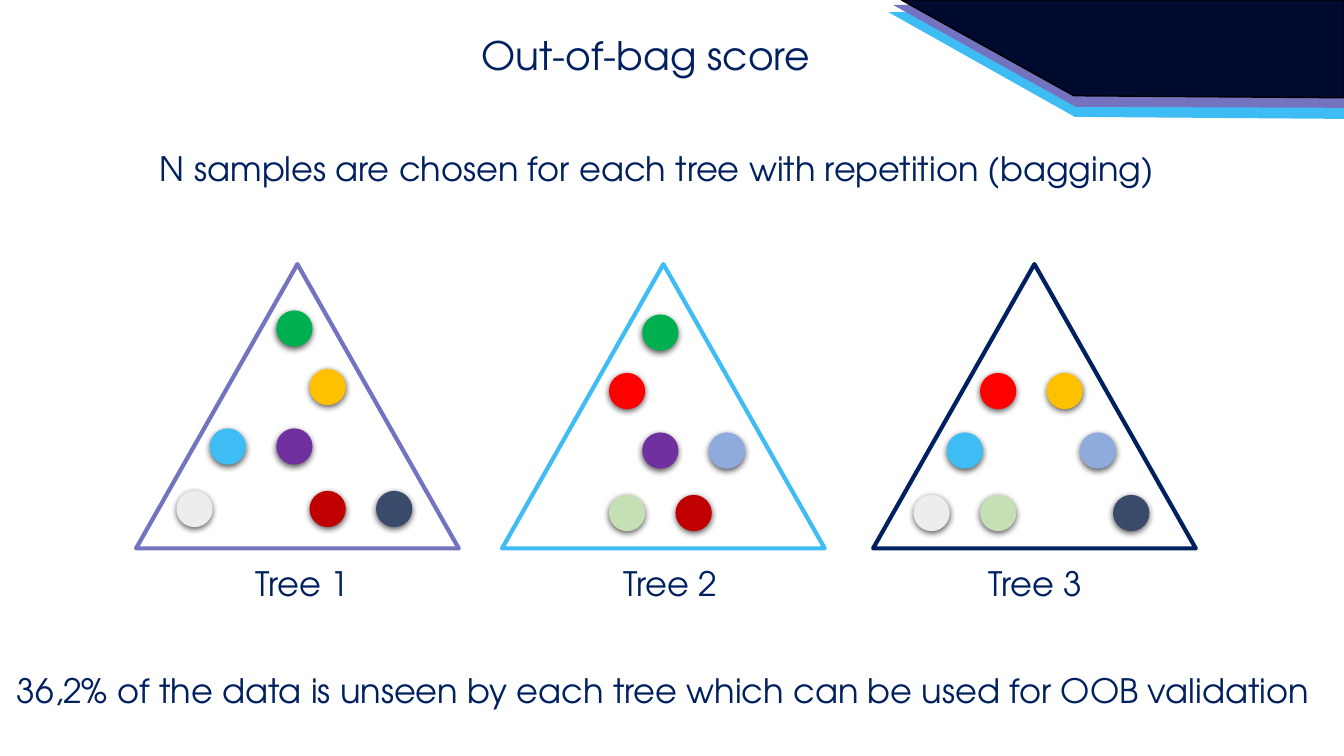
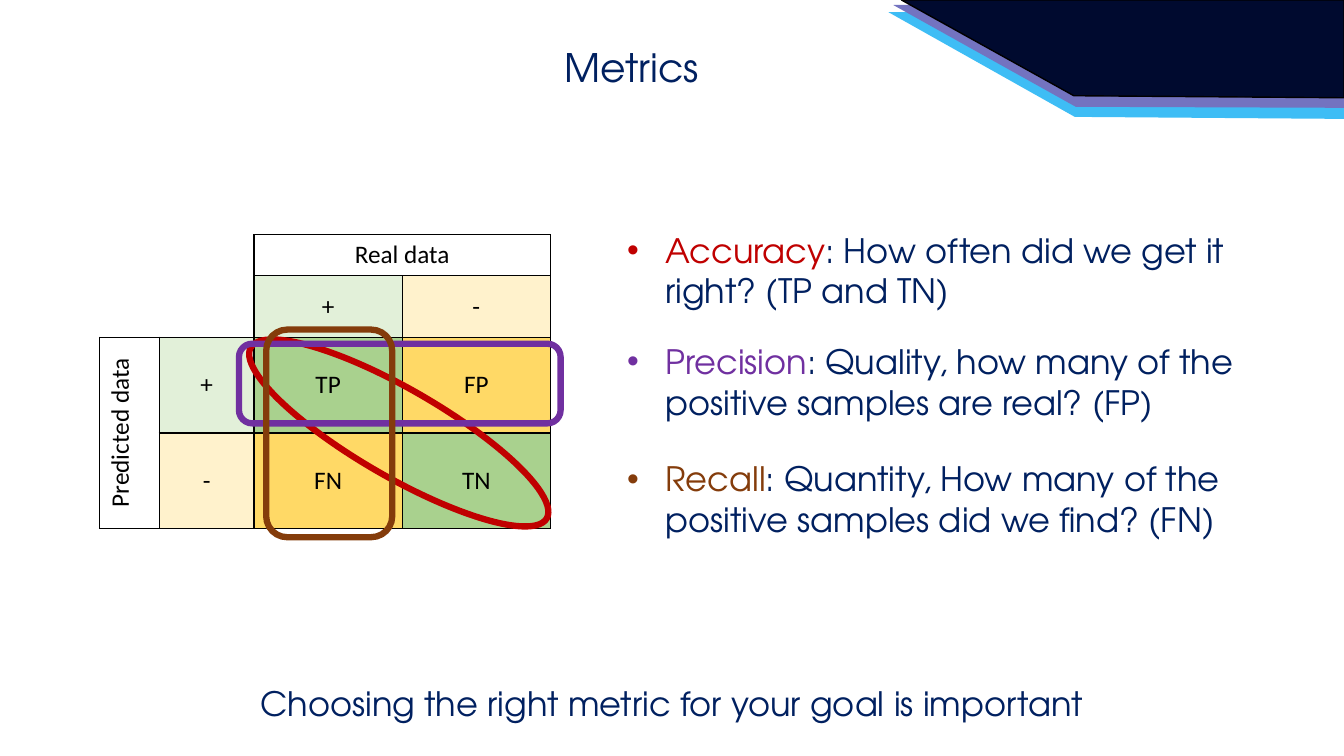
from lxml.etree import SubElement
from pptx import Presentation
from pptx.dml.color import RGBColor
from pptx.enum.shapes import MSO_SHAPE as Shape
from pptx.enum.text import MSO_ANCHOR as Anchor, MSO_AUTO_SIZE as AutoSize, PP_ALIGN as Align
from pptx.oxml.ns import qn
from pptx.util import Emu, Inches, Pt

# Shared look
W, H = 13.33, 7.5
FONT = "TeX Gyre Adventor"
NAVY, SKY, VIOLET, DARK = "002060", "3EBDF5", "7373C0", "000A2F"
RED, PURPLE, BROWN = "C00000", "7030A0", "843C0B"
NO_GRID_STYLE = "{2D5ABB26-0587-4C30-8999-92F81FD0307C}"

# Corner bands, back to front: fill, outline, corner points
BANDS = [
    (SKY, None, [(W, 1.18), (W, 0.12), (8.81, 0.12), (10.66, 1.16)]),
    (VIOLET, None, [(W, 1.07), (W, 0.04), (8.86, 0.05), (10.67, 1.06)]),
    (DARK, "000000", [(W, 0.97), (W, 0), (8.94, 0), (10.65, 0.95)]),
]

# Every sample keeps its place in all trees: colour -> (column, row)
SAMPLES = {
    "00B050": (0, 0),
    "FF0000": (-1, 1), "FFC000": (1, 1),
    SKY: (-2, 2), PURPLE: (0, 2), "8FAADC": (2, 2),
    "EDEDED": (-3, 3), "C5E0B4": (-1, 3), RED: (1, 3), "3A4A6A": (3, 3),
}
COL_STEP, ROW_TOPS, DOT = 0.33, (0, 0.58, 1.17, 1.79), 0.36

# Trees: outline, apex x, first row y, label centre x, samples left out
TREES = [
    (VIOLET, 2.95, 3.08, 3.0, {"FF0000", "8FAADC", "C5E0B4"}),
    (SKY, 6.58, 3.12, 6.65, {"FFC000", SKY, "EDEDED", "3A4A6A"}),
    (NAVY, 10.26, 3.12, 10.27, {"00B050", PURPLE, RED}),
]

# Confusion matrix: text, fill, (rows, columns) spanned; None is left empty
WHITE, PALE_GREEN, PALE_GOLD, GREEN, GOLD = None, "E2F0D9", "FFF2CC", "A9D18E", "FFD966"
MATRIX = [
    [None, None, ("Real data", WHITE, (1, 2)), ("", WHITE)],
    [None, None, ("+", PALE_GREEN), ("-", PALE_GOLD)],
    [("Predicted data", WHITE, (2, 1)), ("+", PALE_GREEN), ("TP", GREEN), ("FP", GOLD)],
    [("", WHITE), ("-", PALE_GOLD), ("FN", GOLD), ("TN", GREEN)],
]
COL_WIDTHS, ROW_HEIGHTS = (0.59, 0.94, 1.47, 1.47), (0.4, 0.61, 0.95, 0.95)

# Metrics: name, colour, explanation, space before in points
METRICS = [
    ("Accuracy", RED, ": How often did we get it right? (TP and TN)", 0),
    ("Precision", PURPLE, ": Quality, how many of the positive samples are real? (FP)", 22),
    ("Recall", BROWN, ": Quantity, How many of the positive samples did we find? (FN)", 26),
]


def rgb(value):
    return RGBColor.from_string(value)


def place(sp, x, y, w, h):
    sp.left, sp.top, sp.width, sp.height = (Inches(v) for v in (x, y, w, h))


def write(p, text, size=24, color=NAVY, font=FONT, align=None):
    """Add one formatted run to a paragraph."""
    if align is not None:
        p.alignment = align
    r = p.add_run()
    r.text = text
    r.font.size, r.font.name = Pt(size), font
    r.font.color.rgb = rgb(color)


def paint(sp, fill=None, line=None, width=1):
    sp.shadow.inherit = False
    if fill:
        sp.fill.solid()
        sp.fill.fore_color.rgb = rgb(fill)
    else:
        sp.fill.background()
    if line:
        sp.line.color.rgb = rgb(line)
        sp.line.width = Pt(width)
    else:
        sp.line.fill.background()


def add_shape(s, kind, x, y, w, h, rotation=0, **look):
    sp = s.shapes.add_shape(kind, *(Inches(v) for v in (x, y, w, h)))
    sp.rotation = rotation
    paint(sp, **look)
    return sp


def add_text(s, text, x, y, w, h=0.5, **fmt):
    tf = s.shapes.add_textbox(*(Inches(v) for v in (x, y, w, h))).text_frame
    tf.word_wrap = True
    write(tf.paragraphs[0], text, align=Align.CENTER, **fmt)


def add_slide(prs, layout, title, x, y):
    """Add a slide with the corner bands and a centred title."""
    s = prs.slides.add_slide(prs.slide_layouts[layout])
    for fill, line, points in BANDS:
        (x0, y0), *rest = [(Inches(px), Inches(py)) for px, py in points]
        builder = s.shapes.build_freeform(x0, y0)
        builder.add_line_segments(rest, close=True)
        paint(builder.convert_to_shape(), fill, line)
    place(s.shapes.title, x, y, 10.55, 0.57)
    tf = s.shapes.title.text_frame
    tf.auto_size, tf.vertical_anchor = AutoSize.NONE, Anchor.TOP
    write(tf.paragraphs[0], title, size=28, align=Align.CENTER)
    return s


def add_dot(s, color, x, y):
    """Draw one sample with a soft shadow below it."""
    sp = add_shape(s, Shape.OVAL, x, y, DOT, DOT, fill=color)
    effects = sp._element.spPr.find(qn("a:effectLst"))
    shadow = SubElement(effects, qn("a:outerShdw"), blurRad=str(Pt(4.5)), dist=str(Pt(1.5)),
                        dir="5400000", algn="ctr", rotWithShape="0")
    black = SubElement(shadow, qn("a:srgbClr"), val="000000")
    SubElement(black, qn("a:alpha"), val="63000")


def add_tree(s, number, color, apex, top, label_x, left_out):
    add_shape(s, Shape.ISOSCELES_TRIANGLE, apex - 1.6, 2.62, 3.2, 2.82, line=color, width=3)
    for sample, (col, row) in SAMPLES.items():
        if sample not in left_out:
            add_dot(s, sample, apex - 0.03 + col * COL_STEP - DOT / 2, top + ROW_TOPS[row])
    add_text(s, f"Tree {number}", label_x - 0.74, 5.54, 1.47)


def add_borders(cell):
    tc_pr = cell._tc.get_or_add_tcPr()
    for side in "LRTB":
        ln = SubElement(tc_pr, qn(f"a:ln{side}"), w=str(Pt(1)))
        SubElement(SubElement(ln, qn("a:solidFill")), qn("a:srgbClr"), val="000000")


def fill_cell(cell, text, fill, span=None):
    add_borders(cell)
    if fill:
        cell.fill.solid()
        cell.fill.fore_color.rgb = rgb(fill)
    cell.vertical_anchor = Anchor.MIDDLE
    if text:
        write(cell.text_frame.paragraphs[0], text, size=18, color="000000",
              font="Calibri", align=Align.CENTER)
    if span and span[0] > 1:
        cell._tc.tcPr.set("vert", "vert270")


def add_matrix(s, x, y):
    size = (Inches(sum(COL_WIDTHS)), Inches(sum(ROW_HEIGHTS)))
    table = s.shapes.add_table(len(MATRIX), len(COL_WIDTHS), Inches(x), Inches(y), *size).table
    table.first_row = table.horz_banding = False
    table._tbl.tblPr.find(qn("a:tableStyleId")).text = NO_GRID_STYLE
    for column, width in zip(table.columns, COL_WIDTHS):
        column.width = Inches(width)
    for row, height in zip(table.rows, ROW_HEIGHTS):
        row.height = Inches(height)
    for i, entries in enumerate(MATRIX):
        for j, entry in enumerate(entries):
            if entry:
                fill_cell(table.cell(i, j), *entry)
                if len(entry) == 3:
                    rows, cols = entry[2]
                    table.cell(i, j).merge(table.cell(i + rows - 1, j + cols - 1))


def add_metrics(s, x, y, w, h):
    body = s.placeholders[1]
    place(body, x, y, w, h)
    tf = body.text_frame
    tf.auto_size, tf.vertical_anchor = AutoSize.NONE, Anchor.TOP
    for i, (name, color, meaning, gap) in enumerate(METRICS):
        p = tf.add_paragraph() if i else tf.paragraphs[0]
        p_pr = p._p.get_or_add_pPr()
        p_pr.set("marL", str(Inches(0.38)))
        p_pr.set("indent", str(Emu(-Inches(0.38))))
        p.space_before = Pt(gap)
        write(p, name, color=color)
        write(p, meaning)


def build_score_slide(prs):
    s = add_slide(prs, 5, "Out-of-bag score", 1.13, 0.26)
    add_text(s, "N samples are chosen for each tree with repetition (bagging)", -0.15, 1.42, W)
    for number, tree in enumerate(TREES, 1):
        add_tree(s, number, *tree)
    add_text(s, "36,2% of the data is unseen by each tree which can be used for OOB validation",
             -0.09, 6.6, W)


def build_metrics_slide(prs):
    s = add_slide(prs, 1, "Metrics", 0.99, 0.38)
    add_matrix(s, 0.99, 2.33)
    # Outlines that tie each metric to its cells
    add_shape(s, Shape.OVAL, 2.26, 3.86, 3.39, 0.87, rotation=30, line=RED, width=4.5)
    add_shape(s, Shape.ROUNDED_RECTANGLE, 2.37, 3.41, 3.19, 0.79, line=PURPLE, width=4.5)
    add_shape(s, Shape.ROUNDED_RECTANGLE, 2.64, 3.27, 1.25, 2.06, line=BROWN, width=4.5)
    add_metrics(s, 6.12, 2.23, 6.94, 3.17)
    add_text(s, "Choosing the right metric for your goal is important", 0, 6.73, W)


def main():
    prs = Presentation()
    prs.slide_width, prs.slide_height = Inches(W), Inches(H)
    build_score_slide(prs)
    build_metrics_slide(prs)
    prs.save("out.pptx")


if __name__ == "__main__":
    main()
